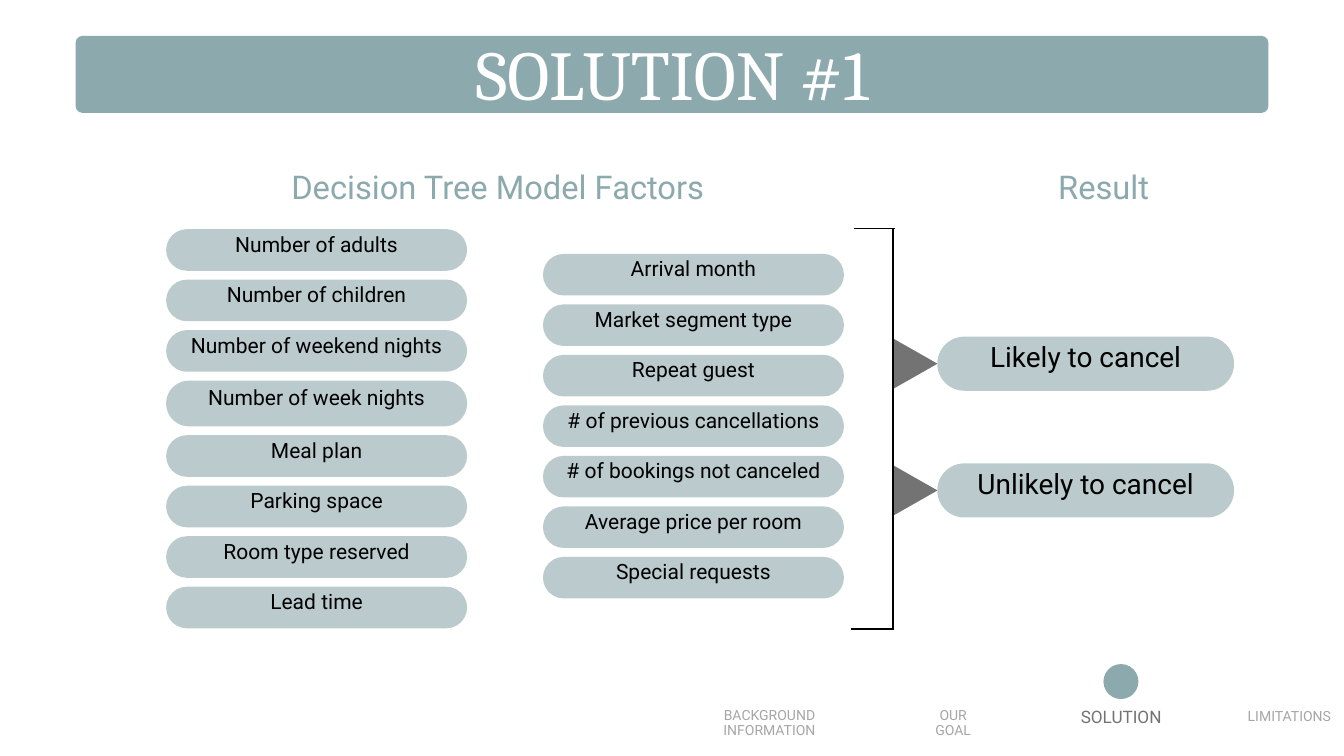
from lxml import etree
from pptx import Presentation
from pptx import util as u
from pptx.dml import color
from pptx.enum import shapes, text
from pptx.oxml import ns

COLORS = {
    "teal": "8CA9AD",
    "pill": "BBCBCD",
    "gray": "737373",
    "light": "A6A6A6",
    "black": "000000",
    "white": "FFFFFF",
}


def add_shape(kind, left, top, width, height, fill):
    shape = page.shapes.add_shape(kind, u.Pt(left), u.Pt(top), u.Pt(width), u.Pt(height))
    shape.shadow.inherit = False
    shape.fill.solid()
    shape.fill.fore_color.rgb = color.RGBColor.from_string(COLORS[fill])
    shape.line.fill.background()
    return shape


def write(words, left, top, width, height, size, leading, ink="black", font="Roboto",
          anchor=text.MSO_ANCHOR.TOP, inset=0, box=None):
    if box is None:
        box = page.shapes.add_textbox(0, 0, 0, 0)
    box.left, box.top, box.width, box.height = (u.Pt(n) for n in (left, top, width, height))
    frame = box.text_frame
    frame.word_wrap = True
    frame.auto_size = text.MSO_AUTO_SIZE.NONE
    frame.vertical_anchor = anchor
    frame.margin_left = frame.margin_right = u.Pt(inset)
    frame.margin_top = frame.margin_bottom = u.Pt(inset)
    frame.text = words
    for para in frame.paragraphs:
        para.alignment = text.PP_ALIGN.CENTER
        para.line_spacing = u.Pt(leading)
        para.space_before = u.Pt(0)
        for span in para.runs:
            span.font.name = font
            span.font.size = u.Pt(size)
            span.font.color.rgb = color.RGBColor.from_string(COLORS[ink])


deck = Presentation()
deck.slide_width = u.Pt(1440)
deck.slide_height = u.Pt(810)
page = deck.slides.add_slide(deck.slide_layouts[5])
rounded = shapes.MSO_SHAPE.ROUNDED_RECTANGLE

title = page.shapes.title
band = add_shape(rounded, 81, 38.5, 1278, 82.5, "teal")
band.adjustments[0] = 0.09
title.element.addprevious(band.element)
write("SOLUTION #1", 168, 40.5, 1104, 84, 75, 82.5, "white", "Cambria", box=title)

write("Decision Tree Model Factors", 155, 172, 757, 47, 35, 49, "teal")
write("Result", 1032.5, 172, 300, 47, 35, 49, "teal")

factor_columns = [
    (178, 245.5, ["Number of adults", "Number of children", "Number of weekend nights",
                  "Number of week nights", "Meal plan", "Parking space",
                  "Room type reserved", "Lead time"]),
    (581.75, 272, ["Arrival month", "Market segment type", "Repeat guest",
                   "# of previous cancellations", "# of bookings not canceled",
                   "Average price per room", "Special requests"]),
]
for left, top, factors in factor_columns:
    for factor in factors:
        height = 49 if factor == "Number of week nights" else 44.6
        pill = add_shape(rounded, left, top, 322.5, height, "pill")
        pill.adjustments[0] = 0.5
        write(factor, left, top - 18, 322.5, height + 18, 22.5, 31.5,
              anchor=text.MSO_ANCHOR.MIDDLE, inset=4.5)
        top += height + 9.5

for result, middle in [("Likely to cancel", 389.7), ("Unlikely to cancel", 525.5)]:
    arrow = add_shape(shapes.MSO_SHAPE.ISOSCELES_TRIANGLE, 953.7, middle - 23.75, 54, 47.5, "gray")
    arrow.rotation = 90
    top = middle - 29
    pill = add_shape(rounded, 1004.25, top, 318, 58, "pill")
    pill.adjustments[0] = 0.5
    write(result, 1004.25, top - 21, 318, 79, 30, 42,
          anchor=text.MSO_ANCHOR.MIDDLE, inset=4.5)

bracket_lines = [
    (914.5, 245, 959, 245),
    (911.5, 674, 956, 674),
    (957, 674.5, 957, 245.5),
]
for ends in bracket_lines:
    line = page.shapes.add_connector(shapes.MSO_CONNECTOR.STRAIGHT, *(u.Pt(n) for n in ends))
    line.line.width = u.Pt(1.5)
    line.line.color.rgb = color.RGBColor.from_string(COLORS["black"])
    etree.SubElement(line.element.spPr, ns.qn("a:effectLst"))

add_shape(shapes.MSO_SHAPE.OVAL, 1182.25, 711.5, 37.5, 37.5, "teal")
sections = [
    ("BACKGROUND\nINFORMATION", 748, 758.5, 153, 15, 16.5, "light"),
    ("OUR\nGOAL", 944.75, 758.5, 153, 15, 16.5, "light"),
    ("SOLUTION", 1124.75, 759, 153, 18.4, 20.2, "gray"),
    ("LIMITATIONS", 1323, 760, 117, 15, 16.5, "light"),
]
for section, left, top, width, size, leading, ink in sections:
    write(section, left, top, width, 33, size, leading, ink)

deck.save("out.pptx")
